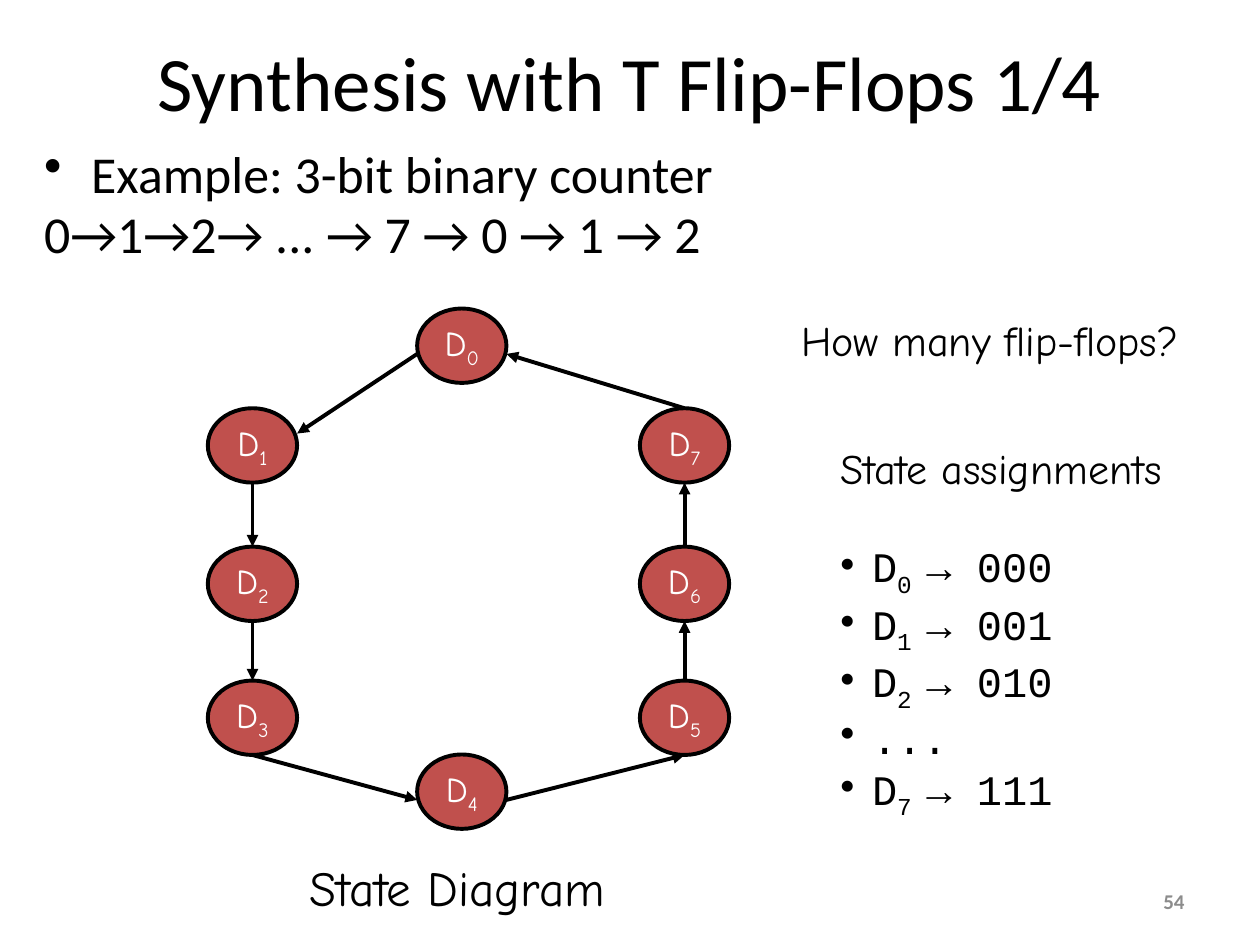
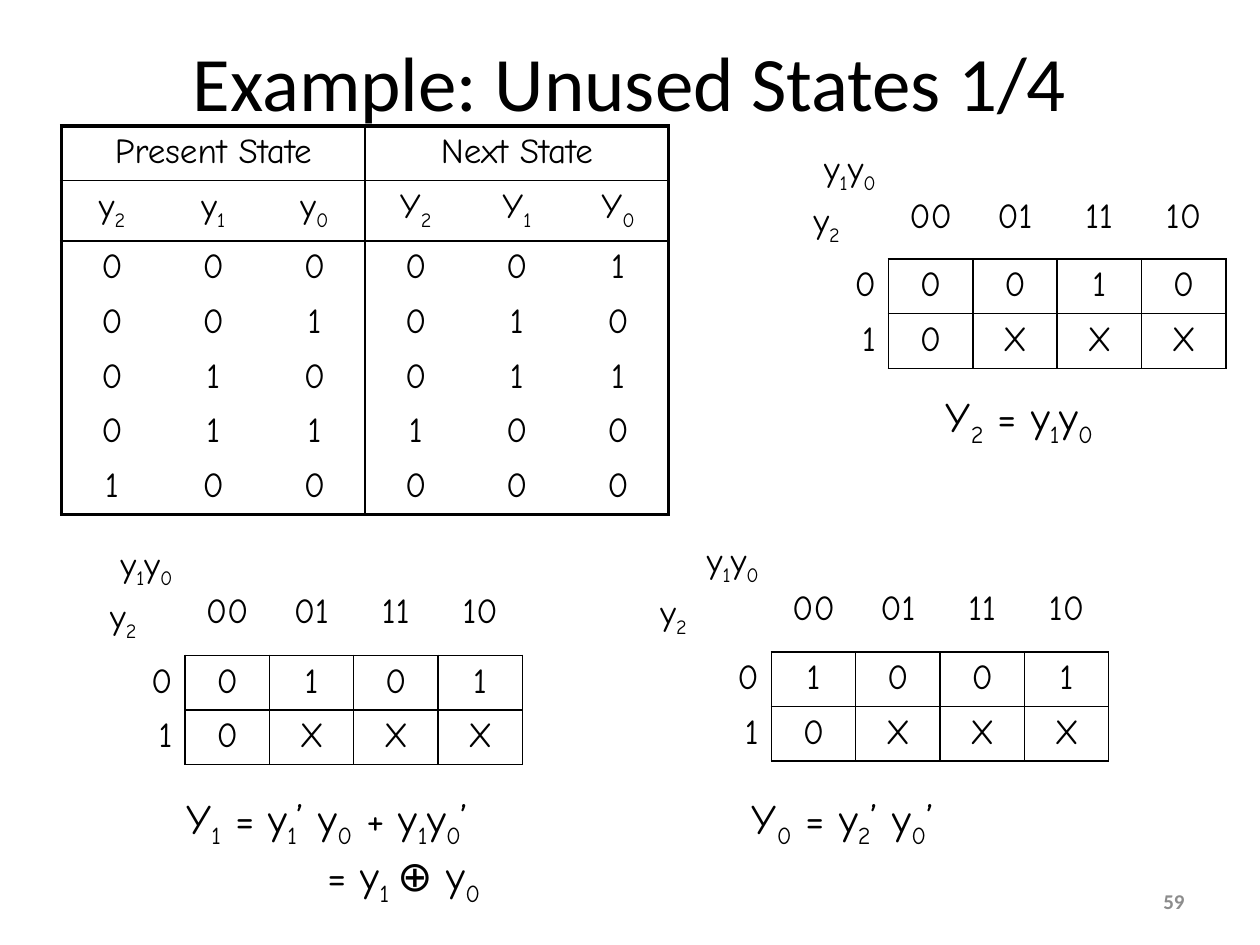
from dataclasses import dataclass

from lxml import etree
from pptx import Presentation
from pptx import util as u
from pptx.dml.color import RGBColor
from pptx.enum import shapes, text
from pptx.oxml.ns import qn

LEFT, CENTER, RIGHT = text.PP_ALIGN.LEFT, text.PP_ALIGN.CENTER, text.PP_ALIGN.RIGHT


@dataclass(frozen=True)
class Theme:
    ink: str = "000000"
    paper: str = "FFFFFF"
    muted: str = "8C8C8C"
    state: str = "C0504D"
    plain: str = "Calibri"
    hand: str = "Comic Neue"
    code: str = "Courier New"
    title: float = 44
    body: float = 29.6
    caption: float = 28
    note: float = 24
    small: float = 20
    footer: float = 12
    thin: float = 1
    thick: float = 2.25


THEME = Theme()
STATE_SIZE = (1.8, 1.5)
STATE_SPOTS = [(8.41, 6.22), (4.19, 8.23), (4.19, 11.02), (4.19, 13.72),
               (8.41, 15.21), (12.9, 13.72), (12.9, 11.02), (12.9, 8.23)]
TOP, BOTTOM = (0.5, 0), (0.5, 1)
LEFT_FLANK, RIGHT_FLANK, RIGHT_SHOULDER = (0, 0.61), (1, 0.61), (1, 0.34)
TRANSITIONS = [(LEFT_FLANK, RIGHT_SHOULDER), (BOTTOM, TOP), (BOTTOM, TOP),
               (BOTTOM, LEFT_FLANK), (RIGHT_FLANK, BOTTOM), (TOP, BOTTOM),
               (TOP, BOTTOM), (TOP, RIGHT_FLANK)]


def write(para, markup, size, font=THEME.hand, color=THEME.ink, align=LEFT, bold=False):
    """Text inside braces is set as a subscript."""
    para.alignment = align
    para.font.size = u.Pt(size)
    para.font.name = font
    para.font.bold = bold
    para.font.color.rgb = RGBColor.from_string(color)
    plain, *pieces = markup.split("{")
    if plain:
        para.add_run().text = plain
    for piece in pieces:
        lowered, _, rest = piece.partition("}")
        span = para.add_run()
        span.text = lowered
        span._r.get_or_add_rPr().set("baseline", "-25000")
        if rest:
            para.add_run().text = rest


def next_para(frame):
    return frame.add_paragraph() if frame.paragraphs[0].runs else frame.paragraphs[0]


def indent(para, margin, first=0.0, bullet=False):
    props = para._p.get_or_add_pPr()
    props.set("marL", str(u.Cm(margin)))
    props.set("indent", str(u.Cm(first)))
    if bullet:
        mark = etree.Element(qn("a:buChar"), char="•")
        props.find(qn("a:defRPr")).addprevious(mark)


def add_text(page, place, lines=(), size=THEME.note, anchor=text.MSO_ANCHOR.TOP, **style):
    box = page.shapes.add_textbox(*map(u.Cm, place))
    frame = box.text_frame
    frame.word_wrap = True
    frame.vertical_anchor = anchor
    for line in lines:
        write(next_para(frame), line, size, **style)
    return frame


def add_page(deck, title, number):
    page = deck.slides.add_slide(deck.slide_layouts[6])
    middle = text.MSO_ANCHOR.MIDDLE
    add_text(page, (1.27, 0.03, 22.86, 3.18), [title], THEME.title, middle,
             font=THEME.plain, align=CENTER)
    add_text(page, (18.21, 17.65, 5.92, 1.02), [str(number)], THEME.footer, middle,
             font=THEME.plain, color=THEME.muted, align=RIGHT, bold=True)
    return page


def add_state(page, index, spot):
    state = page.shapes.add_shape(shapes.MSO_SHAPE.OVAL, *map(u.Cm, spot + STATE_SIZE))
    state.shadow.inherit = False
    state.fill.solid()
    state.fill.fore_color.rgb = RGBColor.from_string(THEME.state)
    state.line.color.rgb = RGBColor.from_string(THEME.ink)
    state.line.width = u.Pt(THEME.thick)
    frame = state.text_frame
    frame.margin_left = frame.margin_right = frame.margin_top = frame.margin_bottom = 0
    frame.vertical_anchor = text.MSO_ANCHOR.MIDDLE
    write(frame.paragraphs[0], f"D{{{index}}}", THEME.small, color=THEME.paper, align=CENTER)


def add_transition(page, source, source_side, target, target_side):
    ends = [u.Cm(corner + length * share)
            for spot, side in ((source, source_side), (target, target_side))
            for corner, length, share in zip(spot, STATE_SIZE, side)]
    arrow = page.shapes.add_connector(shapes.MSO_CONNECTOR.STRAIGHT, *ends)
    arrow.line.color.rgb = RGBColor.from_string(THEME.ink)
    arrow.line.width = u.Pt(THEME.thick)
    props = arrow.element.spPr
    etree.SubElement(props.find(qn("a:ln")), qn("a:tailEnd"), type="triangle")
    etree.SubElement(props, qn("a:effectLst"))


def add_grid(page, left, top, widths, heights):
    frame = page.shapes.add_table(len(heights), len(widths), u.Cm(left), u.Cm(top),
                                  u.Cm(sum(widths)), u.Cm(sum(heights)))
    grid = frame.table
    grid.first_row = grid.horz_banding = False
    for column, width in zip(grid.columns, widths):
        column.width = u.Cm(width)
    for row, height in zip(grid.rows, heights):
        row.height = u.Cm(height)
    return grid


def set_borders(cell, left=0, right=0, top=0, bottom=0):
    cell.fill.background()
    props = cell._tc.get_or_add_tcPr()
    for place, (side, width) in enumerate(zip("LRTB", (left, right, top, bottom))):
        edge = etree.Element(qn(f"a:ln{side}"), w=str(u.Pt(width)))
        if width:
            fill = etree.SubElement(edge, qn("a:solidFill"))
            etree.SubElement(fill, qn("a:srgbClr"), val=THEME.ink)
        else:
            etree.SubElement(edge, qn("a:noFill"))
        props.insert(place, edge)


def fill_cell(cell, markup, align=CENTER):
    write(cell.text_frame.paragraphs[0], markup, THEME.small, align=align)


def add_kmap(page, left, top, header, row_height, values, corner_align=CENTER):
    grid = add_grid(page, left, top, [2.49] + [1.7] * 4, [header, row_height, row_height])
    thin = THEME.thin
    corner = grid.cell(0, 0)
    set_borders(corner)
    fill_cell(corner, "y{1}y{0}", RIGHT)
    below = corner.text_frame.add_paragraph()
    write(below, "y{2}", THEME.small, align=corner_align)
    below.space_before = u.Pt(4)
    for column, code in enumerate(("00", "01", "11", "10"), 1):
        cell = grid.cell(0, column)
        cell.margin_top = u.Cm(1.07)
        set_borders(cell, bottom=thin)
        fill_cell(cell, code)
    for row, marks in enumerate(values, 1):
        label = grid.cell(row, 0)
        set_borders(label, right=thin)
        fill_cell(label, str(row - 1), RIGHT)
        for column, mark in enumerate(marks, 1):
            cell = grid.cell(row, column)
            set_borders(cell, thin, thin, thin, thin)
            fill_cell(cell, mark)


def add_state_table(page, left, top, groups, names, values):
    rows = [names, *values]
    grid = add_grid(page, left, top, [2.04] * 6, [1.1, 1.21] + [1.1] * len(values))
    thin, thick, last = THEME.thin, THEME.thick, len(rows)
    for start, group in zip((0, 3), groups):
        grid.cell(0, start).merge(grid.cell(0, start + 2))
        fill_cell(grid.cell(0, start), group)
    for row in range(last + 1):
        for column in range(6):
            start = column // 3 * 3
            first, final = (column, column) if row else (start, start + 2)
            cell = grid.cell(row, column)
            set_borders(cell,
                        left={0: thick, 3: thin}.get(first, 0),
                        right={2: thin, 5: thick}.get(final, 0),
                        top={0: thick, 1: thin, 2: thin}.get(row, 0),
                        bottom={0: thin, 1: thin, last: thick}.get(row, 0))
            if row:
                fill_cell(cell, rows[row - 1][column])


def build_counter(deck):
    page = add_page(deck, "Synthesis with T Flip-Flops 1/4", 54)
    body = add_text(page, (0.64, 2.97, 24.33, 2.57),
                    ["Example: 3-bit binary counter", "0→1→2→ ... → 7 → 0 → 1 → 2"],
                    THEME.body, font=THEME.plain)
    for order, para in enumerate(body.paragraphs):
        para.line_spacing = 0.8
        para.space_before = u.Pt(6 * order)
        indent(para, 0.95, -0.95, bullet=order == 0)

    for index, spot in enumerate(STATE_SPOTS):
        add_state(page, index, spot)
    targets = STATE_SPOTS[1:] + STATE_SPOTS[:1]
    for source, target, (leave, enter) in zip(STATE_SPOTS, targets, TRANSITIONS):
        add_transition(page, source, leave, target, enter)

    add_text(page, (15.9, 6.22, 8.86, 1.27), ["How many flip-flops?"])
    assignments = add_text(page, (16.69, 8.79, 7.87, 7.44), ["State assignments"])
    codes = ["D{0 }→ 000", "D{1 }→ 001", "D{2 }→ 010", "...", "D{7 }→ 111"]
    for order, code in enumerate(codes):
        para = next_para(assignments)
        write(para, code, THEME.note, font=THEME.code)
        para.space_before = u.Pt(0 if order else 27.6)
        indent(para, 0.64, -0.64, bullet=True)
    add_text(page, (5.99, 17.17, 7.32, 1.45), ["State Diagram"], THEME.caption)


def build_unused_states(deck):
    page = add_page(deck, "Example: Unused States 1/4", 59)
    add_kmap(page, 15.42, 2.9, 2.21, 1.07, ["0010", "0XXX"])
    add_text(page, (18.82, 7.75, 3.84, 1.27), ["Y{2} = y{1}y{0}"])
    add_kmap(page, 1.24, 10.87, 2.34, 1.1, ["0101", "0XXX"])
    sums = add_text(page, (3.51, 15.85, 6.73, 2.31),
                    ["Y{1} = y{1}’ y{0} + y{1}y{0}’", "= y{1 }⊕ y{0}"])
    indent(sums.paragraphs[1], 2.84)
    add_kmap(page, 13.06, 10.8, 2.34, 1.1, ["1001", "0XXX"], corner_align=LEFT)
    add_text(page, (14.91, 15.85, 4.5, 1.27), ["Y{0} = y{2}’ y{0}’"])
    add_state_table(page, 1.24, 2.54, ["Present State", "Next State"],
                    ["y{2}", "y{1}", "y{0}", "Y{2}", "Y{1}", "Y{0}"],
                    ["000001", "001010", "010011", "011100", "100000"])


def main():
    deck = Presentation()
    deck.slide_width, deck.slide_height = u.Cm(25.4), u.Cm(19.05)
    build_counter(deck)
    build_unused_states(deck)
    deck.save("out.pptx")


if __name__ == "__main__":
    main()
